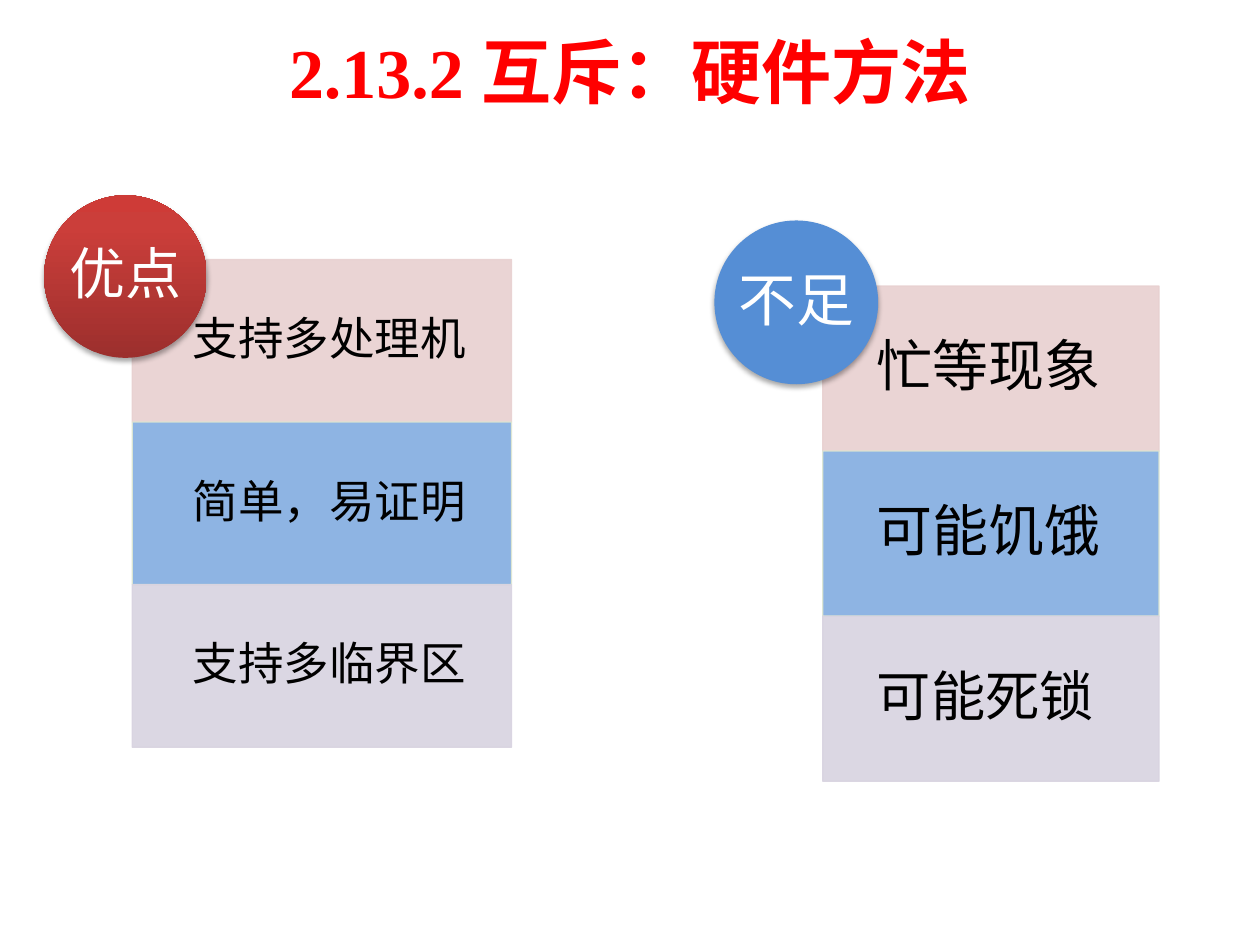
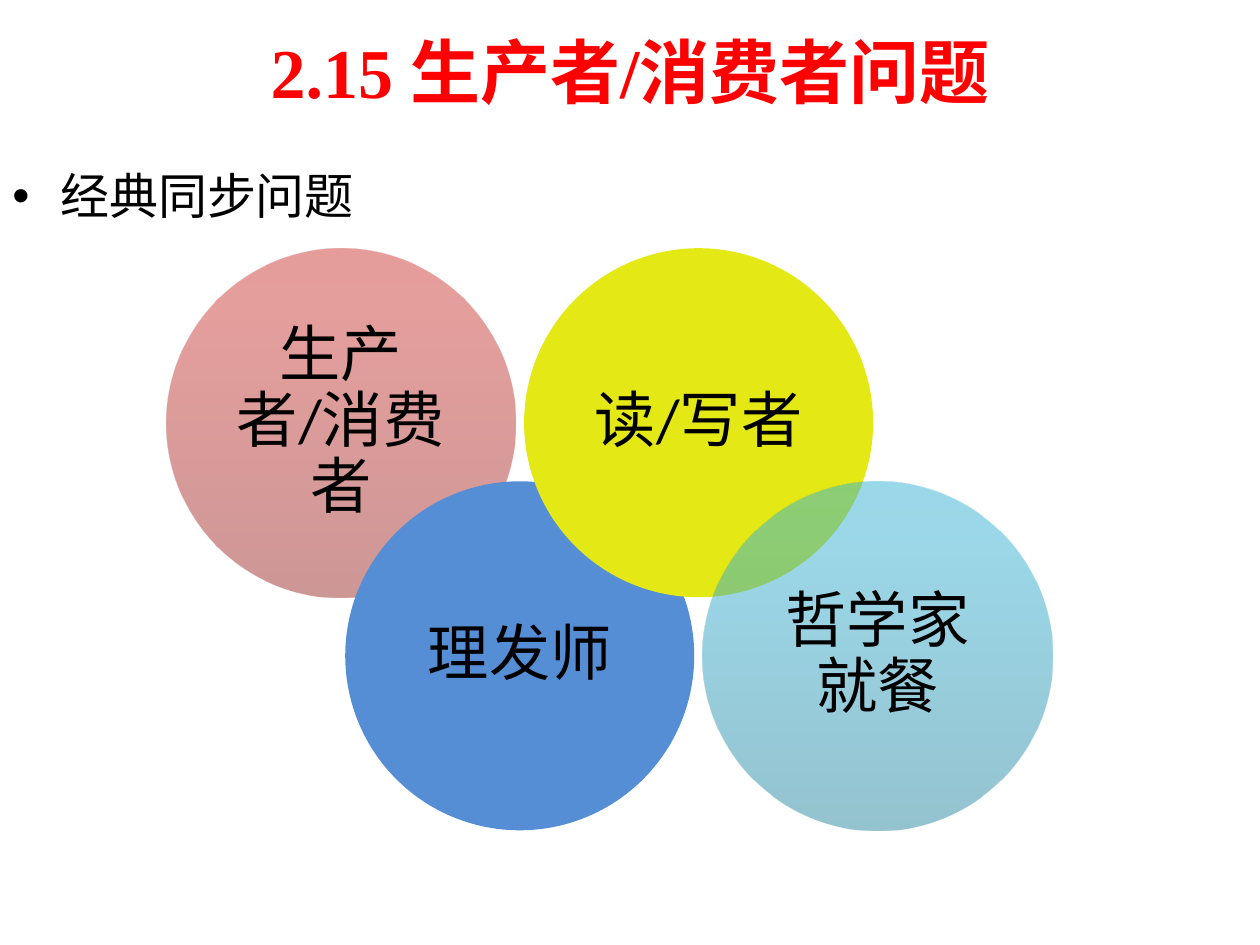
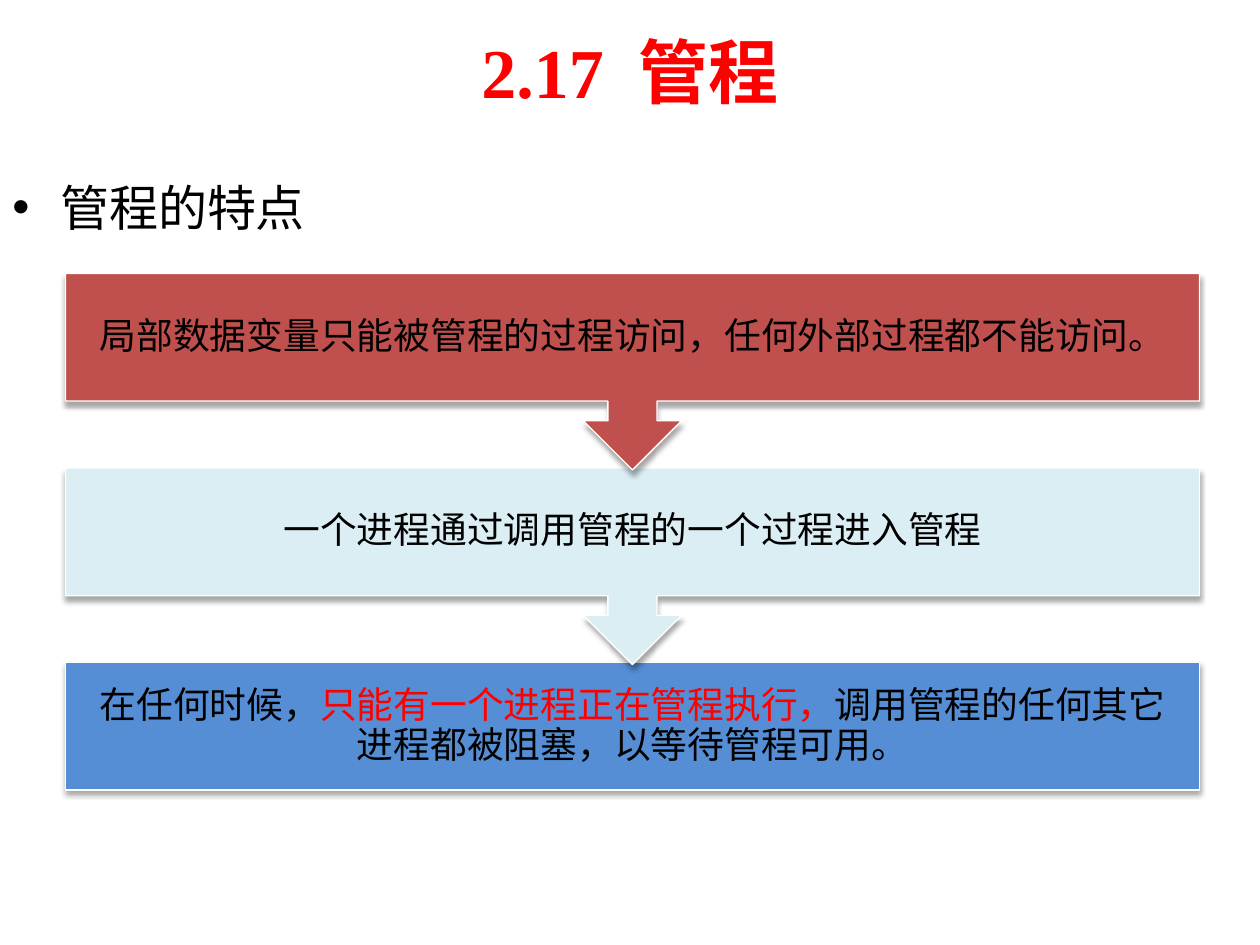
from copy import deepcopy
from lxml.etree import SubElement
from pptx import Presentation
from pptx.dml.color import RGBColor
from pptx.enum.shapes import MSO_SHAPE
from pptx.enum.text import MSO_ANCHOR, PP_ALIGN
from pptx.oxml.ns import qn
from pptx.util import Inches, Pt

BLACK, WHITE, RED = "000000", "FFFFFF", "FF0000"
BLUE, PINK, SKY, MAUVE = "558ED5", "E8D0D0", "8EB4E3", "D8D3E0"
PALE, BRICK, LIME, EDGE = "DBEEF4", "C0504D", "E4E915", "DEE7D1"
RUBY = ["9C2F2D", "CB3E3A", "CE3B37"]
TEAL = ["2A88A2", "37B1D2", "34B4D6"]
STOPS = [0, 0.8, 1]
SERIF, SANS, PLAIN = "Times New Roman", "Calibri", "Arial"


def color(code):
    return RGBColor.from_string(code)


def fade(node, alpha):
    for item in node.iter(qn("a:srgbClr")):
        SubElement(item, qn("a:alpha"), val=str(alpha * 1000))


def paint(shape, fill, alpha=100):
    if isinstance(fill, str):
        shape.fill.solid()
        shape.fill.fore_color.rgb = color(fill)
    else:
        shape.fill.gradient()
        shape.fill.gradient_angle = 90
        stops = shape.element.spPr.find(qn("a:gradFill")).find(qn("a:gsLst"))
        stops.append(deepcopy(stops[-1]))
        for stop, place, code in zip(shape.fill.gradient_stops, STOPS, fill):
            stop.position = place
            stop.color.rgb = color(code)
    if alpha < 100:
        fade(shape.element.spPr, alpha)


def outline(shape, code, alpha=100):
    shape.line.color.rgb = color(code)
    shape.line.width = Pt(0.75)
    if alpha < 100:
        fade(shape.element.spPr.find(qn("a:ln")), alpha)


def shade(shape):
    effects = shape.element.spPr.find(qn("a:effectLst"))
    shadow = SubElement(effects, qn("a:outerShdw"), blurRad=str(Pt(3.1)),
                        dist=str(Pt(1.8)), dir="5400000", rotWithShape="0")
    SubElement(shadow, qn("a:srgbClr"), val=BLACK)
    fade(shadow, 35)


def style(run, font, size, code, bold=False):
    run.font.name = font
    run.font.size = Pt(size)
    run.font.bold = bold
    run.font.color.rgb = color(code)


def write(shape, parts, font, size, code=BLACK, pads=(0, 0, 0, 0),
          align=PP_ALIGN.CENTER):
    frame = shape.text_frame
    frame.word_wrap = True
    frame.vertical_anchor = MSO_ANCHOR.MIDDLE
    (frame.margin_left, frame.margin_top,
     frame.margin_right, frame.margin_bottom) = [Inches(pad) for pad in pads]
    para = frame.paragraphs[0]
    para.alignment = align
    para.line_spacing = 0.9
    for part, tint in parts if isinstance(parts, list) else [(parts, code)]:
        run = para.add_run()
        run.text = part
        style(run, font, size, tint)


def block(slide, kind, left, top, width, height):
    shape = slide.shapes.add_shape(
        kind, Inches(left), Inches(top), Inches(width), Inches(height))
    shape.shadow.inherit = False
    shape.line.fill.background()
    return shape


def label(slide, text, left, top, width, height):
    box = slide.shapes.add_textbox(
        Inches(left), Inches(top), Inches(width), Inches(height))
    box.text_frame.word_wrap = True
    box.text_frame.text = text
    return box.text_frame


def start(deck, text):
    slide = deck.slides.add_slide(deck.slide_layouts[6])
    frame = label(slide, text, 0.5, 0.05, 9, 1.02)
    frame.vertical_anchor = MSO_ANCHOR.MIDDLE
    para = frame.paragraphs[0]
    para.alignment = PP_ALIGN.CENTER
    style(para.runs[0], SERIF, 40, RED, True)
    return slide


def bullet(slide, text, top):
    para = label(slide, text, 0, top, 9, 0.77).paragraphs[0]
    props = para._p.get_or_add_pPr()
    props.set("marL", str(Inches(0.38)))
    props.set("indent", str(-Inches(0.38)))
    SubElement(props, qn("a:buFont"), typeface=PLAIN)
    SubElement(props, qn("a:buChar"), char="•")
    para.line_spacing = 1.25
    style(para.runs[0], SERIF, 28, BLACK)


def panel(slide, left, top, width, step, inset, pad, rows):
    looks = [(PINK, 90, PINK), (SKY, 100, EDGE), (MAUVE, 90, MAUVE)]
    for i, ((text, size), (fill, alpha, edge)) in enumerate(zip(rows, looks)):
        row = block(slide, MSO_SHAPE.RECTANGLE, left, top + i * step, width, step)
        paint(row, fill, alpha)
        outline(row, edge, 90)
        write(row, text, SANS, size, pads=(inset, pad, pad, pad),
              align=PP_ALIGN.LEFT)


def badge(slide, text, left, top, side, fill, size):
    disc = block(slide, MSO_SHAPE.OVAL, left, top, side, side)
    paint(disc, fill)
    shade(disc)
    write(disc, text, SANS, size, WHITE)


def circles(slide, items):
    for i, (text, fill, alpha, row) in enumerate(items):
        disc = block(slide, MSO_SHAPE.OVAL, 1.32 + i * 1.42, 1.97 + row * 1.85,
                     2.77, 2.77)
        paint(disc, fill, alpha)
        write(disc, text, SANS, 35, pads=[0.15] * 4)


def flow(slide, steps):
    last = len(steps) - 1
    for i, (parts, fill) in reversed(list(enumerate(steps))):
        kind, height = ((MSO_SHAPE.RECTANGLE, 1.01) if i == last
                        else (MSO_SHAPE.DOWN_ARROW_CALLOUT, 1.56))
        step = block(slide, kind, 0.52, 2.17 + i * 1.545, 9, height)
        paint(step, fill)
        outline(step, WHITE)
        shade(step)
        write(step, parts, PLAIN, 21, pads=[0.16] * 4)


def main():
    deck = Presentation()
    deck.slide_width, deck.slide_height = Inches(10), Inches(7.5)

    slide = start(deck, "2.13.2 互斥：硬件方法")
    panel(slide, 6.53, 2.27, 2.67, 1.31, 0.43, 0.25,
          [("忙等现象", 32), ("可能饥饿", 32), ("可能死锁", 31)])
    badge(slide, "不足", 5.67, 1.75, 1.3, BLUE, 33)
    panel(slide, 1.05, 2.06, 3.01, 1.29, 0.48, 0.2,
          [("支持多处理机", 26), ("简单，易证明", 26), ("支持多临界区", 26)])
    badge(slide, "优点", 0.35, 1.55, 1.29, RUBY, 32)

    slide = start(deck, "2.15 生产者/消费者问题")
    circles(slide, [("生产者/消费者", RUBY, 50, 0), ("理发师", BLUE, 100, 1),
                    ("读/写者", LIME, 100, 0), ("哲学家就餐", TEAL, 50, 1)])
    bullet(slide, "经典同步问题", 1.15)

    slide = start(deck, "2.17  管程")
    bullet(slide, "管程的特点", 1.24)
    flow(slide, [
        ("局部数据变量只能被管程的过程访问，任何外部过程都不能访问。", BRICK),
        ("一个进程通过调用管程的一个过程进入管程", PALE),
        ([("在任何时候，", BLACK), ("只能有一个进程正在管程执行，", RED),
          ("调用管程的任何其它进程都被阻塞，以等待管程可用。", BLACK)], BLUE)])

    deck.save("out.pptx")


if __name__ == "__main__":
    main()
